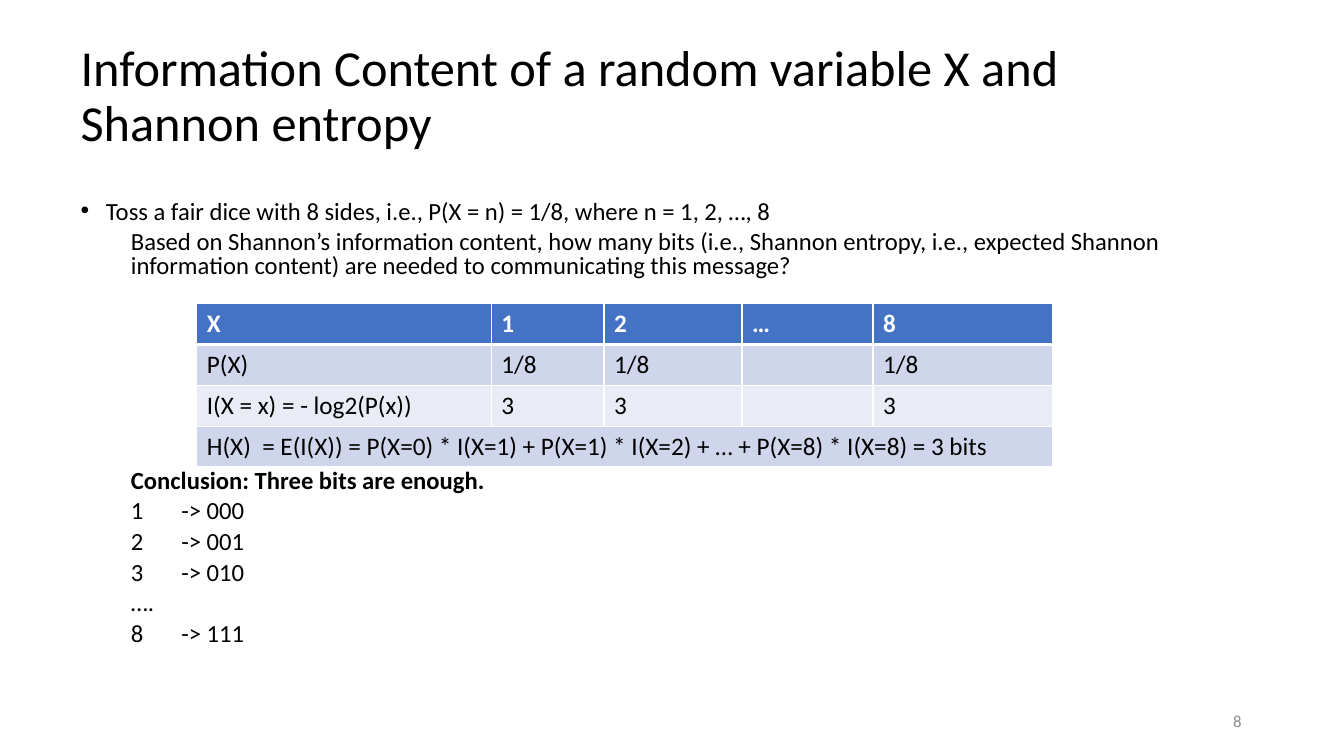
from lxml.etree import SubElement as Sub
from pptx import Presentation
from pptx.dml.color import RGBColor as RGB
from pptx.enum.text import MSO_ANCHOR as Anchor, PP_ALIGN as Align
from pptx.oxml.ns import qn
from pptx.util import Cm, Pt

TITLE = "Information Content of a random variable X and Shannon entropy"
TOSS = "Toss a fair dice with 8 sides, i.e., P(X = n) = 1/8, where n = 1, 2, …, 8"
ASK = ("Based on Shannon’s information content, how many bits (i.e., Shannon entropy, "
       "i.e., expected Shannon information content) are needed to communicating this message?")
END = "Conclusion: Three bits are enough."
CODES = ["1\t-> 000", "2\t-> 001", "3\t-> 010", "….", "8\t-> 111"]
ROWS = [
    ["X", "1", "2", "…", "8"],
    ["P(X)", "1/8", "1/8", "", "1/8"],
    ["I(X = x) = - log2(P(x))", "3", "3", "", "3"],
    ["H(X)  = E(I(X)) = P(X=0) * I(X=1) + P(X=1) * I(X=2) + … + P(X=8) * I(X=8) = 3 bits"],
]
WIDTHS = [7.42, 2.84, 3.48, 3.3, 4.52]
HIGH = 1.03
PAGE = "8"

FONT = "Calibri"
BLACK = RGB(0, 0, 0)
WHITE = RGB(255, 255, 255)
GRAY = RGB(0x8C, 0x8C, 0x8C)
BLUE = RGB(0x44, 0x72, 0xC4)
BANDS = [RGB(0xE9, 0xEB, 0xF5), RGB(0xCF, 0xD5, 0xEA)]
BODY = 17.6


def add_run(para, text, size, color=BLACK, bold=False):
    run = para.add_run()
    run.text = text
    font = run.font
    font.name, font.size, font.bold = FONT, Pt(size), bold
    font.color.rgb = color


def add_box(left, top, width, height, anchor=Anchor.TOP):
    frame = slide.shapes.add_textbox(Cm(left), Cm(top), Cm(width), Cm(height)).text_frame
    frame.word_wrap = True
    frame.vertical_anchor = anchor
    return frame


def add_body(frame, lines):
    for i, (text, bold, before) in enumerate(lines):
        para = frame.add_paragraph() if i else frame.paragraphs[0]
        para.line_spacing = 0.8
        para.space_before = Pt(before)
        add_run(para, text, BODY, bold=bold)


def indent(para, left, first=0.0):
    props = para._p.get_or_add_pPr()
    props.set("marL", str(Cm(left)))
    props.set("indent", str(Cm(first)))
    return props


def add_edge(cell, side, width):
    line = Sub(cell._tc.get_or_add_tcPr(), qn("a:ln" + side), w=str(Pt(width)))
    Sub(Sub(line, qn("a:solidFill")), qn("a:srgbClr"), val=str(WHITE))


deck = Presentation()
deck.slide_width, deck.slide_height = Cm(33.87), Cm(19.05)
slide = deck.slides.add_slide(deck.slide_layouts[6])

para = add_box(1.78, 0.89, 29.77, 3.15, Anchor.MIDDLE).paragraphs[0]
para.line_spacing = 0.9
add_run(para, TITLE, 36)

intro = add_box(1.78, 4.95, 30.56, 2.4)
add_body(intro, [(TOSS, False, 10), (ASK, False, 5)])
toss, ask = intro.paragraphs
props = indent(toss, 0.64, -0.64)
Sub(props, qn("a:buFont"), typeface="Arial")
Sub(props, qn("a:buChar"), char="•")
indent(ask, 1.27)

codes = add_box(3.05, 11.73, 29.29, 5.4)
add_body(codes, [(END, True, 5)] + [(code, False, 5) for code in CODES])
for para in codes.paragraphs[1:]:
    tabs = Sub(indent(para, 0), qn("a:tabLst"))
    Sub(tabs, qn("a:tab"), pos=str(Cm(1.59)), algn="l")

grid = slide.shapes.add_table(len(ROWS), len(WIDTHS), Cm(4.96), Cm(7.65),
                              Cm(sum(WIDTHS)), Cm(HIGH * len(ROWS))).table
for col, width in zip(grid.columns, WIDTHS):
    col.width = Cm(width)
for r, texts in enumerate(ROWS):
    grid.rows[r].height = Cm(HIGH)
    head = r == 0
    for c in range(len(WIDTHS)):
        cell = grid.cell(r, c)
        for side in "LRTB":
            thick = (side == "B" and head) or (side == "T" and r == 1)
            add_edge(cell, side, 3 if thick else 1)
        cell.fill.solid()
        cell.fill.fore_color.rgb = BLUE if head else BANDS[r % 2]
        if c < len(texts) and texts[c]:
            add_run(cell.text_frame.paragraphs[0], texts[c], 18,
                    WHITE if head else BLACK, head)
last = len(ROWS) - 1
grid.cell(last, 0).merge(grid.cell(last, len(WIDTHS) - 1))

para = add_box(23.92, 17.66, 7.62, 1.01, Anchor.MIDDLE).paragraphs[0]
para.alignment = Align.RIGHT
add_run(para, PAGE, 12, GRAY)

deck.save("out.pptx")
